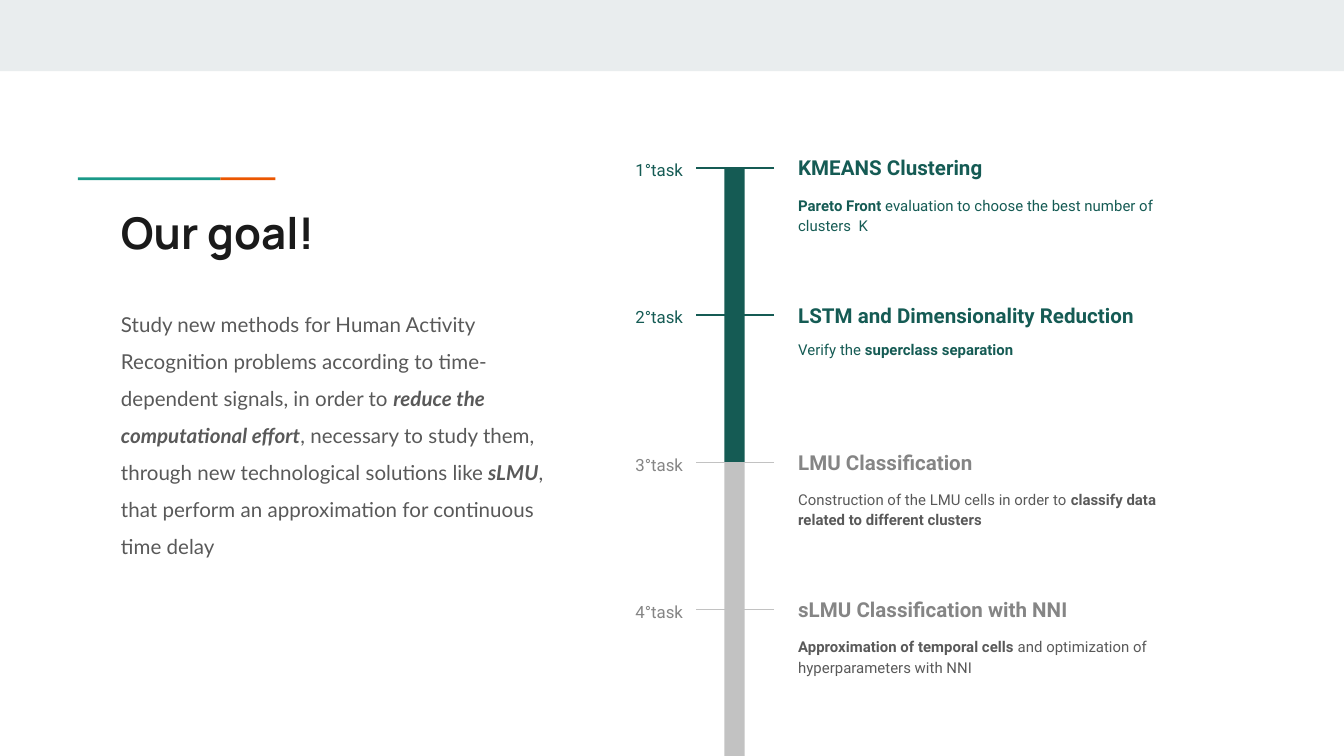
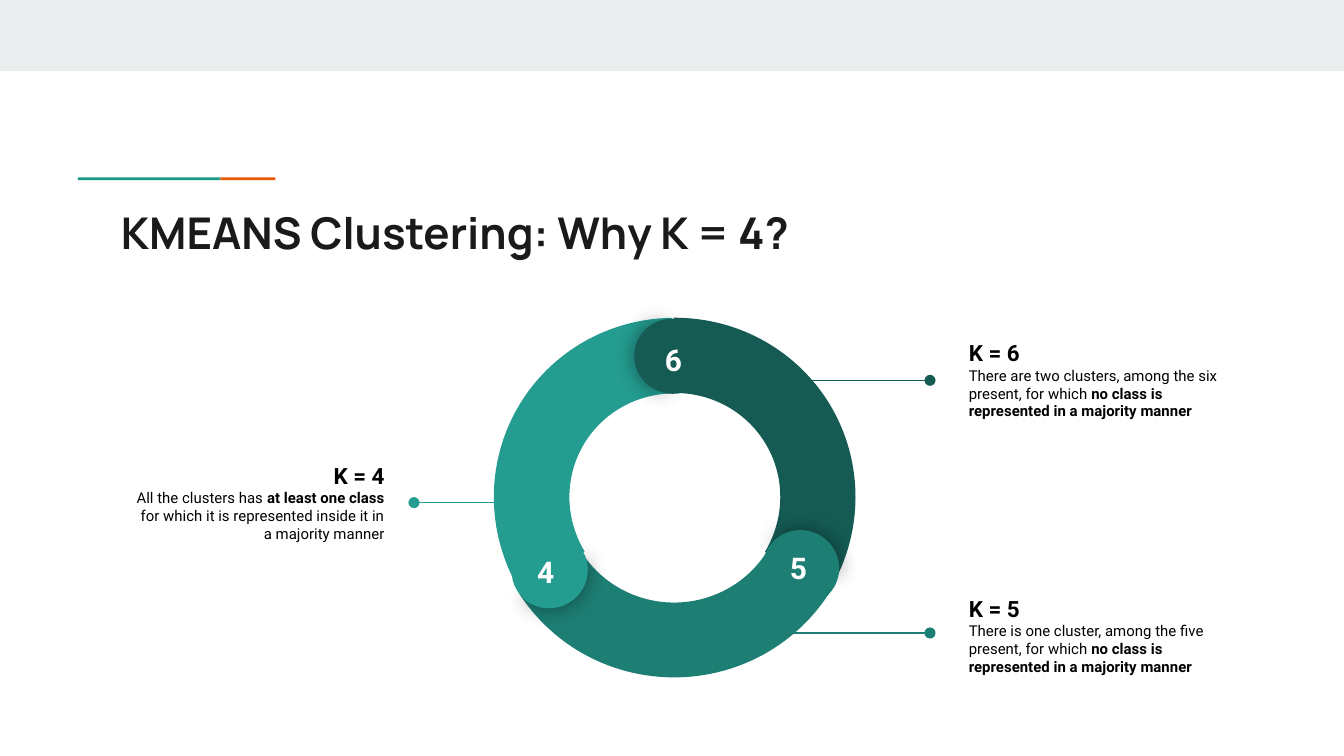
from lxml import etree
from pptx import Presentation
from pptx.dml.color import RGBColor
from pptx.enum.shapes import MSO_CONNECTOR, MSO_SHAPE as SHAPE
from pptx.enum.text import MSO_ANCHOR as ANCHOR, PP_ALIGN as ALIGN
from pptx.oxml import parse_xml
from pptx.oxml.ns import nsdecls, qn
from pptx.util import Inches, Pt

# Shared look
INK, BODY, GREY, LIGHT = "1A1A1A", "595959", "858585", "C2C2C2"
DARK, MID, TEAL = "155B54", "1D7E74", "249C90"
BLACK, WHITE = "000000", "FFFFFF"
BAND, ACCENT, ORANGE = "E9EDEE", "1A9988", "EB5600"
TITLE_FONT, BODY_FONT, LABEL_FONT = "Manrope", "Lato", "Roboto"

# Content: words between asterisks are emphasised
GOAL = ("Study new methods for Human Activity Recognition problems according to "
        "time-dependent signals, in order to *reduce the computational effort*, "
        "necessary to study them, through new technological solutions like* sLMU*, "
        "that perform an approximation for continuous time delay")

# label, heading, description, bar colour, heading colour, description colour
TASKS = [
    ("1°task", "KMEANS Clustering",
     "*Pareto Front* evaluation to choose the best number of clusters  K", DARK, DARK, DARK),
    ("2°task", "LSTM and Dimensionality Reduction",
     "Verify the *superclass separation*", DARK, DARK, DARK),
    ("3°task", "LMU Classification",
     "Construction of the LMU cells in order to *classify data related to different clusters*",
     LIGHT, GREY, BODY),
    ("4°task", "sLMU Classification with NNI",
     "*Approximation of temporal cells* and optimization of hyperparameters with NNI",
     LIGHT, GREY, BODY),
]
TASK_TOP, TASK_STEP = 1.25, 1.095

# heading, description, text position, alignment, line start, line end, line y, colour
CALLOUTS = [
    ("K = 4", "All the clusters has *at least one class* for which it is represented "
     "inside it in a majority manner", (0.87, 3.11), ALIGN.RIGHT, 3.7, 3.08, 3.74, TEAL),
    ("K = 6", "There are two clusters, among the six present, for which *no class is "
     "represented in a majority manner*", (7.11, 2.2), ALIGN.LEFT, 5.65, 6.92, 2.83, DARK),
    ("K = 5", "There is one cluster, among the five present, for which *no class is "
     "represented in a majority manner*", (7.11, 4.1), ALIGN.LEFT, 5.65, 6.92, 4.71, MID),
]

# number, colour, turn, arc box, arc end, arc thickness, cap box, number position
RING = [
    ("6", DARK, 0, (3.66, 2.35, 2.69, 2.73), 197.82, 0.208,
     (4.72, 2.37, 0.57, 0.56), (4.76, 2.44)),
    ("5", MID, 120, (3.65, 2.35, 2.73, 2.69), 196.63, 0.207,
     (5.68, 3.94, 0.56, 0.57), (5.69, 3.99)),
    ("4", TEAL, 240, (3.69, 2.35, 2.69, 2.73), 197.03, 0.209,
     (3.81, 3.96, 0.56, 0.57), (3.81, 4.02)),
]
ARC_START = 126.22
CAP_SHADED, CAP_PLAIN = (61.9, 149.96), (40.28, 171.84)


def rgb(value):
    return RGBColor.from_string(value)


def write(p, text, size, font, color, bold=False, italic=False, align=ALIGN.LEFT,
          spacing=None, after=0):
    p.alignment = align
    p.space_before, p.space_after = Pt(0), Pt(after)
    if spacing:
        p.line_spacing = spacing
    for i, part in enumerate(text.split("*")):
        if not part:
            continue
        r = p.add_run()
        r.text = part
        r.font.size, r.font.name = Pt(size), font
        r.font.color.rgb = rgb(color)
        r.font.bold = bold or i % 2 == 1
        r.font.italic = italic and i % 2 == 1


def frame(s, anchor=ANCHOR.TOP):
    tf = s.text_frame
    tf.word_wrap = True
    tf.vertical_anchor = anchor
    tf.margin_left = tf.margin_right = tf.margin_top = tf.margin_bottom = Inches(0.1)
    return tf


def textbox(sp, box, anchor=ANCHOR.TOP):
    return frame(sp.add_textbox(*map(Inches, box)), anchor)


def shape(sp, kind, box, color, turn=0, adjust=()):
    s = sp.add_shape(kind, *map(Inches, box))
    s.shadow.inherit = False
    s.fill.solid()
    s.fill.fore_color.rgb = rgb(color)
    s.line.fill.background()
    s.rotation = turn % 360
    for i, value in enumerate(adjust):
        s.adjustments[i] = value
    return s


def glow(s):
    effects = s._element.spPr.find(qn("a:effectLst"))
    effects.append(parse_xml(
        f'<a:outerShdw {nsdecls("a")} blurRad="{Pt(11.2)}" dist="0" dir="0">'
        f'<a:srgbClr val="{BLACK}"><a:alpha val="43000"/></a:srgbClr></a:outerShdw>'))


def line(sp, x1, x2, y, color, dot=False):
    c = sp.add_connector(MSO_CONNECTOR.STRAIGHT, Inches(x1), Inches(y), Inches(x2), Inches(y))
    c.line.color.rgb = rgb(color)
    c.line.width = Pt(0.75)
    if dot:
        etree.SubElement(c.line._get_or_add_ln(), qn("a:tailEnd"), type="oval")
    etree.SubElement(c._element.spPr, qn("a:effectLst"))


def place(s, box):
    s.left, s.top, s.width, s.height = map(Inches, box)
    return frame(s)


def new_slide(prs, layout, title):
    slide = prs.slides.add_slide(prs.slide_layouts[layout])
    sp = slide.shapes
    shape(sp, SHAPE.RECTANGLE, (0, 0, 10, 0.53), BAND)
    shape(sp, SHAPE.RECTANGLE, (0.58, 1.32, 1.06, 0.02), ACCENT)
    shape(sp, SHAPE.RECTANGLE, (1.64, 1.32, 0.41, 0.02), ORANGE)
    tf = place(sp.title, (0.8, 1.43, 8.41, 0.59))
    write(tf.paragraphs[0], title, 23.4, TITLE_FONT, INK, bold=True)
    return slide


def goal_slide(prs):
    slide = new_slide(prs, 1, "Our goal!")
    sp = slide.shapes
    p = place(slide.placeholders[1], (0.8, 2.13, 3.5, 3.16)).paragraphs[0]
    pPr = p._p.get_or_add_pPr()
    pPr.set("marL", "0")
    pPr.set("indent", "0")
    etree.SubElement(pPr, qn("a:buNone"))
    write(p, GOAL, 11, BODY_FONT, BODY, italic=True, spacing=1.5, after=12)

    # Timeline
    for i, (label, heading, text, bar, head_color, text_color) in enumerate(TASKS):
        y = TASK_TOP + i * TASK_STEP
        shape(sp, SHAPE.RECTANGLE, (5.39, y, 0.15, TASK_STEP), bar)
        line(sp, 5.76, 5.18, y, bar)
        write(textbox(sp, (5.84, y - 0.22, 2.98, 0.3)).paragraphs[0], heading, 11,
              LABEL_FONT, head_color, bold=True, spacing=1.15)
        write(textbox(sp, (5.84, y + 0.09, 2.98, 0.45)).paragraphs[0], text, 8,
              LABEL_FONT, text_color, spacing=1.15, after=16)
        write(textbox(sp, (4.35, y - 0.17, 0.83, 0.38)).paragraphs[0], label, 9,
              LABEL_FONT, head_color, align=ALIGN.RIGHT, spacing=1.15)


def cluster_slide(prs):
    sp = new_slide(prs, 5, "KMEANS Clustering: Why K = 4?").shapes

    # Callouts
    for heading, text, (x, y), align, x1, x2, line_y, color in CALLOUTS:
        tf = textbox(sp, (x, y, 2.09, 1.25), ANCHOR.MIDDLE)
        write(tf.paragraphs[0], heading, 12, LABEL_FONT, BLACK, bold=True, align=align)
        write(tf.add_paragraph(), text, 8, LABEL_FONT, BLACK, align=align, after=16)
        line(sp, x1, x2, line_y, color, dot=True)

    # Ring: arcs first, then the round caps, then the numbers
    for _, color, turn, box, end, thick, _, _ in RING:
        shape(sp, SHAPE.BLOCK_ARC, box, color, turn + 60, (ARC_START, end, thick))
    for _, color, turn, _, _, _, cap, _ in RING:
        glow(shape(sp, SHAPE.PIE, cap, color, turn + 0.65, CAP_SHADED))
        shape(sp, SHAPE.PIE, cap, color, turn + 180, CAP_PLAIN)
    for number, *_, spot in RING:
        write(textbox(sp, (*spot, 0.5, 0.26)).paragraphs[0], number, 16, LABEL_FONT,
              WHITE, bold=True, align=ALIGN.CENTER)


def main():
    prs = Presentation()
    prs.slide_width = Inches(10)
    prs.slide_height = prs.slide_width * 9 // 16
    goal_slide(prs)
    cluster_slide(prs)
    prs.save("out.pptx")


if __name__ == "__main__":
    main()
